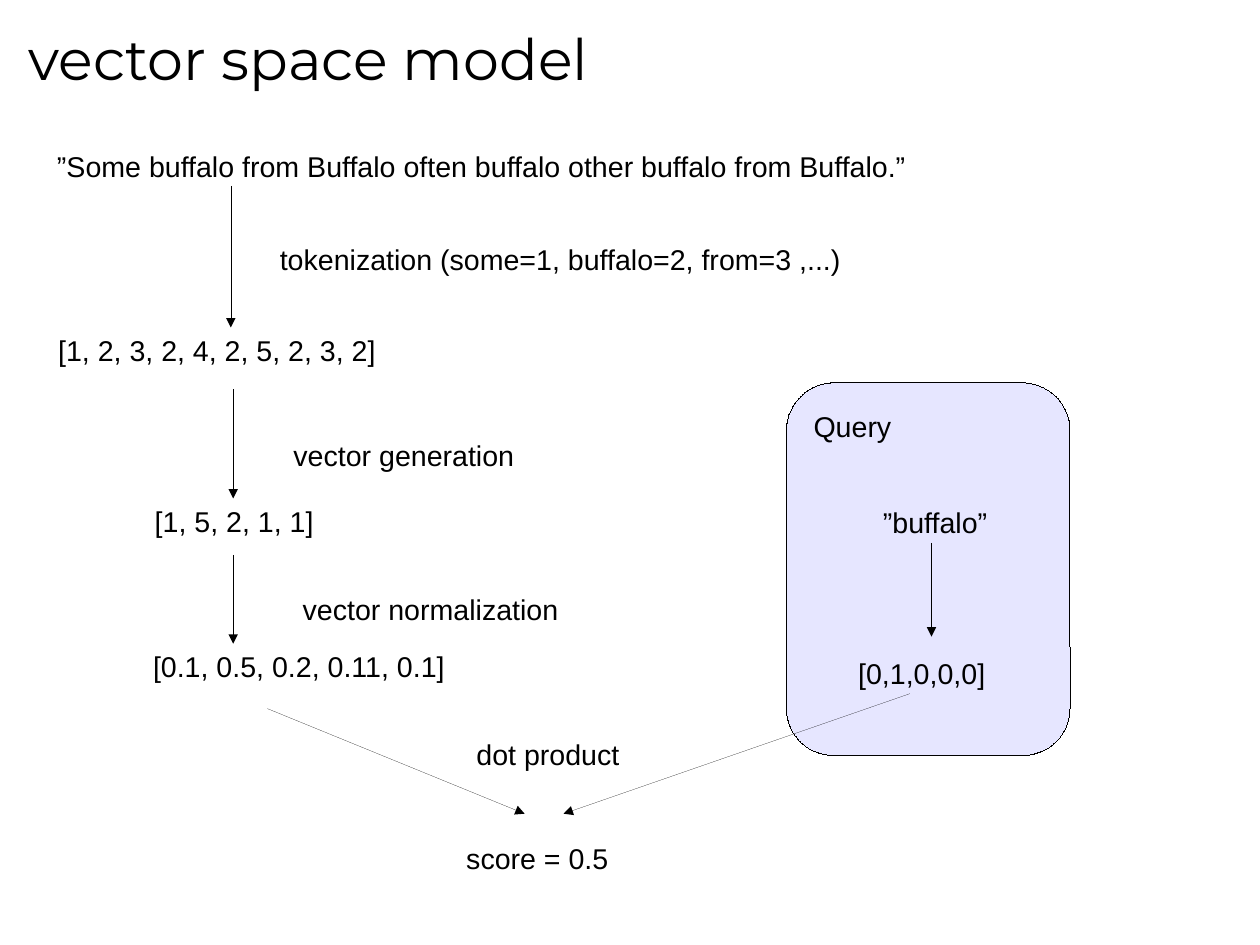
from lxml import etree
from pptx import Presentation
from pptx.dml.color import RGBColor
from pptx.enum import shapes, text
from pptx.oxml import ns
from pptx.util import Pt

COLOURS = {"ink": "000000", "query": "E6E6FF"}


def colour(name):
    """Return the named colour of the slide."""
    return RGBColor.from_string(COLOURS[name])


def add_label(slide, box, wording, left, top, width, wrap=False):
    """Write one line of text at a place relative to the box."""
    label = slide.shapes.add_textbox(
        Pt(box[0] + left), Pt(box[1] + top), Pt(width), Pt(27.4))
    frame = label.text_frame
    frame.word_wrap = wrap
    frame.auto_size = text.MSO_AUTO_SIZE.SHAPE_TO_FIT_TEXT
    line = frame.paragraphs[0]
    line.text = wording
    line.font.name, line.font.size = "Arial", Pt(18)
    line.font.color.rgb = colour("ink")


def draw_hairline(line):
    """Make a line black and as thin as possible, and return its XML."""
    line.color.rgb = colour("ink")
    outline = line._get_or_add_ln()
    outline.set("w", "0")
    return outline


def add_arrow(slide, box, start, end):
    """Draw a hairline arrow between two points relative to the box."""
    left, top = box[:2]
    arrow = slide.shapes.add_connector(
        shapes.MSO_CONNECTOR.STRAIGHT,
        Pt(left + start[0]), Pt(top + start[1]),
        Pt(left + end[0]), Pt(top + end[1]))
    outline = draw_hairline(arrow.line)
    etree.SubElement(outline, ns.qn("a:tailEnd"), type="triangle")
    etree.SubElement(arrow._element.spPr, ns.qn("a:effectLst"))


def fill_title(slide, box):
    """Place and format the slide title."""
    title = slide.shapes.title
    title.left, title.top, title.width, title.height = map(Pt, box)
    frame = title.text_frame
    frame.margin_left = frame.margin_right = 0
    frame.margin_top = frame.margin_bottom = 0
    frame.vertical_anchor = text.MSO_ANCHOR.MIDDLE
    heading = frame.paragraphs[0]
    heading.text = "vector space model"
    heading.alignment = text.PP_ALIGN.LEFT
    heading.font.name, heading.font.size = "Montserrat", Pt(36)
    heading.font.color.rgb = colour("ink")


def add_document(slide, box):
    """Show the steps from the sentence to its normalized vector."""
    sentence = "”Some buffalo from Buffalo often buffalo other buffalo from Buffalo.”"
    add_label(slide, box, sentence, 0, 0, box[2], wrap=True)
    steps = [
        ("tokenization (some=1, buffalo=2, from=3 ,...)", 140.4, 58.3, 369,
         "[1, 2, 3, 2, 4, 2, 5, 2, 3, 2]", 0.7, 115.9, 708, 116.6, 26.7),
        ("vector generation", 149, 182.2, 155,
         "[1, 5, 2, 1, 1]", 61.6, 223.6, 122.4, 118.1, 154.8),
        ("vector normalization", 154.8, 279.1, 177,
         "[0.1, 0.5, 0.2, 0.11, 0.1]", 60.5, 315.1, 347, 118.1, 259.2),
    ]
    for (step, step_left, step_top, step_width,
         result, left, top, width, arrow_x, arrow_top) in steps:
        add_arrow(slide, box, (arrow_x, arrow_top), (arrow_x, top))
        add_label(slide, box, step, step_left, step_top, step_width)
        add_label(slide, box, result, left, top, width, wrap=True)


def add_query(slide, box):
    """Show the query and its vector in a rounded panel."""
    panel = slide.shapes.add_shape(
        shapes.MSO_SHAPE.ROUNDED_RECTANGLE, *map(Pt, box))
    panel.shadow.inherit = False
    panel.fill.solid()
    panel.fill.fore_color.rgb = colour("query")
    draw_hairline(panel.line)
    add_label(slide, box, "Query", 10, 12.7, 65)
    add_label(slide, box, "”buffalo”", 53.7, 73.1, 81)
    add_arrow(slide, box, (91.4, 100.8), (91.4, 159.8))
    add_label(slide, box, "[0,1,0,0,0]", 38.1, 168.2, 96)


def add_score(slide, box):
    """Join both vectors in the dot product and its score."""
    add_arrow(slide, box, (0, 9.4), (162, 75.6))
    add_arrow(slide, box, (box[2], 0), (186.5, 75.6))
    add_label(slide, box, "dot product", 124.5, 23.5, 106)
    add_label(slide, box, "score = 0.5", 118.1, 89, 106)


def main():
    """Build and save the slide."""
    deck = Presentation()
    deck.slide_width, deck.slide_height = Pt(793.7), Pt(595.28)
    slide = deck.slides.add_slide(deck.slide_layouts[5])
    fill_title(slide, (18, 0, 756, 72))
    add_query(slide, (495.4, 241.2, 178.6, 234.7))
    add_document(slide, (28.8, 90.4, 708, 343))
    add_score(slide, (168.5, 437, 404.6, 117))
    deck.save("out.pptx")


if __name__ == "__main__":
    main()
